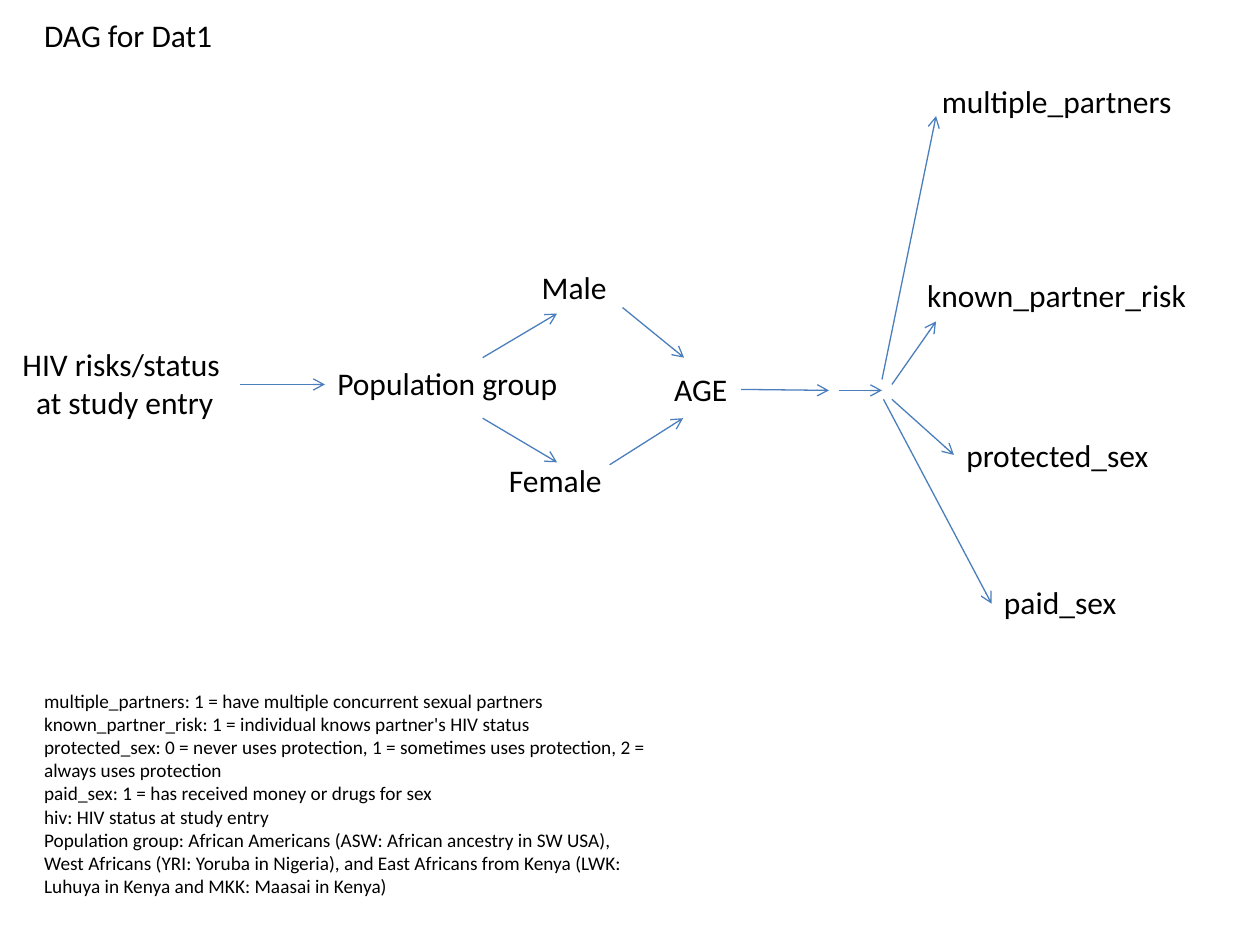
from lxml.etree import SubElement
from pptx import Presentation
from pptx.dml.color import RGBColor
from pptx.enum.shapes import MSO_CONNECTOR
from pptx.enum.text import MSO_AUTO_SIZE, PP_ALIGN
from pptx.oxml.ns import qn
from pptx.util import Cm, Pt

BLACK = RGBColor(0, 0, 0)
BLUE = RGBColor(0x4B, 0x7E, 0xBC)
ROW = 1.02  # height of a one-line label

deck = Presentation()
deck.slide_width, deck.slide_height = Cm(25.4), Cm(19.05)
slide = deck.slides.add_slide(deck.slide_layouts[6])


def add_text(lines, box, size=18, wrap=False, align=PP_ALIGN.LEFT):
    """Add a text box with one paragraph for each line."""
    frame = slide.shapes.add_textbox(*map(Cm, box)).text_frame
    frame.word_wrap = wrap
    frame.auto_size = MSO_AUTO_SIZE.SHAPE_TO_FIT_TEXT
    for i, line in enumerate(lines):
        para = frame.add_paragraph() if i else frame.paragraphs[0]
        para.alignment = align
        run = para.add_run()
        run.text = line
        run.font.size = Pt(size)
        run.font.name = "Calibri"
        run.font.color.rgb = BLACK


def add_arrow(start, end):
    """Add a thin line with an open head at its end."""
    line = slide.shapes.add_connector(
        MSO_CONNECTOR.STRAIGHT, *map(Cm, start + end))
    line.line.color.rgb = BLUE
    line.line.width = Pt(0.75)
    SubElement(line.line._get_or_add_ln(), qn("a:tailEnd"), type="arrow")
    SubElement(line._element.spPr, qn("a:effectLst"))


# Title and nodes
add_text(["DAG for Dat1"], (0.64, 0.2, 7.82, ROW), wrap=True)
add_text(["HIV risks/status ", "at study entry"], (0.18, 6.83, 4.67, 1.8),
         align=PP_ALIGN.CENTER)
add_text(["multiple_partners "], (18.62, 1.52, 5.51, ROW),
         align=PP_ALIGN.CENTER)
add_text(["Female"], (10.01, 9.17, 3.18, ROW), wrap=True)

nodes = [
    ("Male", 10.67, 5.28, 1.83),
    ("AGE", 13.34, 7.34, 1.6),
    ("Population group", 6.55, 7.21, 5),
    ("known_partner_risk", 18.44, 5.44, 5.79),
    ("protected_sex", 19.23, 8.66, 4.22),
    ("paid_sex", 19.99, 11.63, 2.79),
]
for name, left, top, width in nodes:
    add_text([name], (left, top, width, ROW))

# Edges, from left to right
edges = [
    ((4.83, 7.75), (6.55, 7.75)),
    ((9.73, 7.21), (11.23, 6.32)),
    ((9.73, 8.43), (11.23, 9.32)),
    ((12.55, 6.2), (13.79, 7.21)),
    ((12.29, 9.37), (13.77, 8.43)),
    ((14.94, 7.85), (16.71, 7.87)),
    ((16.92, 7.87), (17.78, 7.87)),
    ((17.78, 7.65), (18.87, 2.34)),
    ((17.98, 7.75), (18.87, 6.48)),
    ((17.98, 8.05), (19.23, 9.17)),
    ((17.81, 8.05), (19.99, 12.17)),
]
for start, end in edges:
    add_arrow(start, end)

# Legend
legend = [
    "multiple_partners: 1 = have multiple concurrent sexual partners",
    "known_partner_risk: 1 = individual knows partner's HIV status",
    "protected_sex: 0 = never uses protection, 1 = sometimes uses "
    "protection, 2 = always uses protection",
    "paid_sex: 1 = has received money or drugs for sex",
    "hiv: HIV status at study entry",
    "Population group: African Americans (ASW: African ancestry in SW USA), "
    "West Africans (YRI: Yoruba in Nigeria), and East Africans from Kenya "
    "(LWK: Luhuya in Kenya and MKK: Maasai in Kenya)",
]
add_text(legend, (0.64, 13.77, 12.7, 4.5), size=11, wrap=True)

deck.save("out.pptx")
